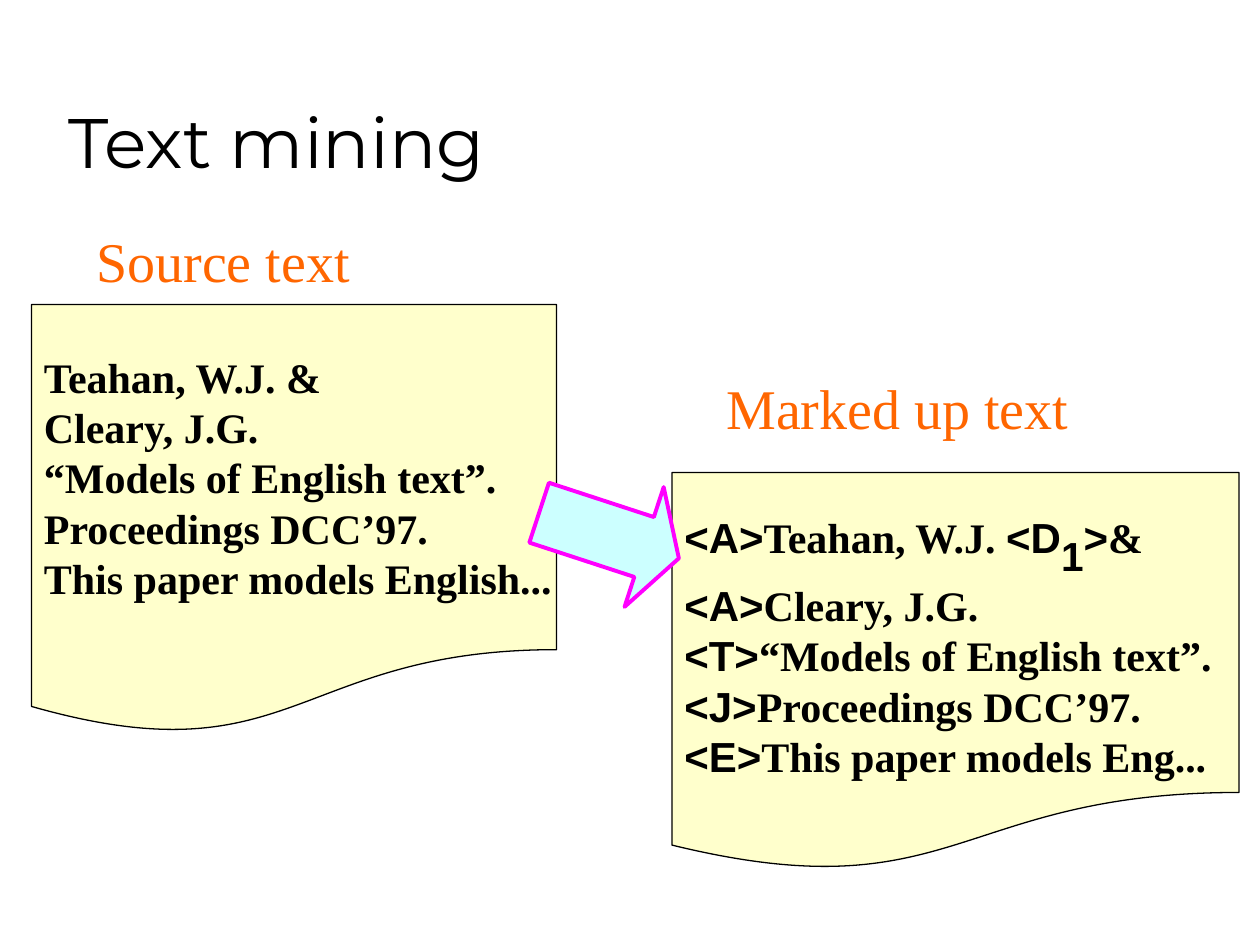
"""Build the text mining slide: a source document turned into a marked up one."""
from pptx import Presentation
from pptx.dml.color import RGBColor
from pptx.enum.shapes import MSO_SHAPE
from pptx.enum.text import MSO_ANCHOR, MSO_AUTO_SIZE, PP_ALIGN
from pptx.util import Pt

DOCUMENT, ARROW = MSO_SHAPE.FLOWCHART_DOCUMENT, MSO_SHAPE.RIGHT_ARROW
TOP, MIDDLE, BOTTOM = MSO_ANCHOR.TOP, MSO_ANCHOR.MIDDLE, MSO_ANCHOR.BOTTOM
LEFT = PP_ALIGN.LEFT
GROW = MSO_AUTO_SIZE.SHAPE_TO_FIT_TEXT

COLOURS = {"ink": "000000", "paper": "FFFFCC", "label": "FF6600", "white": "FFFFFF",
           "arrow": "CCFFFF", "arrow_edge": "FF00FF"}
STYLES = {
    "title": ("Montserrat", 40, False, "ink"),
    "label": ("Times New Roman", 32, False, "label"),
    "body": ("Times New Roman", 24, True, "ink"),
    "tag": ("Arial", 24, True, "ink"),
    "subscript": ("Arial", 40, True, "ink"),
}

TITLE = ("Text mining", (32, 18, 612, 90))
LABELS = [
    ("Marked up text", (408, 210, 211, 46)),
    ("Source text", (48, 126, 161, 46)),
]
SOURCE_LINES = [
    [("body", line)] for line in (
        "Teahan, W.J. &",
        "Cleary, J.G.",
        "“Models of English text”.",
        "Proceedings DCC’97.",
        "This paper models English...",
    )
]
MARKED_LINES = [
    [("tag", "<A>"), ("body", "Teahan, W.J. "), ("tag", "<D"),
     ("subscript", "1"), ("tag", ">"), ("body", "&")],
    [("tag", "<A>"), ("body", "Cleary, J.G.")],
    [("tag", "<T>"), ("body", "“Models of English text”.")],
    [("tag", "<J>"), ("body", "Proceedings DCC’97.")],
    [("tag", "<E>"), ("body", "This paper models Eng...")],
]
DOCUMENTS = [
    (SOURCE_LINES, (18, 174, 300, 246)),
    (MARKED_LINES, (384, 270, 324, 228)),
]
ARROW_BOX = (306, 270, 84, 72)


def colour(name):
    return RGBColor.from_string(COLOURS[name])


def write(shape, lines, anchor, wrap=False):
    frame = shape.text_frame
    frame.word_wrap = wrap
    frame.vertical_anchor = anchor
    for index, line in enumerate(lines):
        paragraph = frame.add_paragraph() if index else frame.paragraphs[0]
        paragraph.alignment = LEFT
        for style, text in line:
            span = paragraph.add_run()
            span.text = text
            name, size, bold, ink = STYLES[style]
            span.font.name, span.font.size, span.font.bold = name, Pt(size), bold
            span.font.color.rgb = colour(ink)
            if style == "subscript":
                span.font._element.set("baseline", "-25000")


def add_text(page, box, style, text, anchor, wrap=False):
    shape = page.shapes.add_textbox(*map(Pt, box))
    write(shape, [[(style, text)]], anchor, wrap)
    return shape


def add_filled(page, kind, box, fill, edge, width):
    shape = page.shapes.add_shape(kind, *map(Pt, box))
    shape.shadow.inherit = False
    shape.fill.solid()
    shape.fill.fore_color.rgb = colour(fill)
    shape.line.color.rgb = colour(edge)
    shape.line.width = Pt(width)
    return shape


deck = Presentation()
deck.slide_width, deck.slide_height = Pt(720), Pt(540)
page = deck.slides.add_slide(deck.slide_layouts[6])

title, title_box = TITLE
add_text(page, title_box, "title", title, BOTTOM, wrap=True)

for lines, box in DOCUMENTS:
    document = add_filled(page, DOCUMENT, box, "paper", "ink", 0.74)
    write(document, lines, MIDDLE)

for text, box in LABELS:
    label = add_text(page, box, "label", text, TOP)
    label.text_frame.auto_size = GROW
    label.fill.solid()
    label.fill.fore_color.rgb = colour("white")

arrow = add_filled(page, ARROW, ARROW_BOX, "arrow", "arrow_edge", 2.24)
arrow.adjustments[0], arrow.adjustments[1] = 0.5, 0.29
arrow.rotation = 18.1

deck.save("out.pptx")
